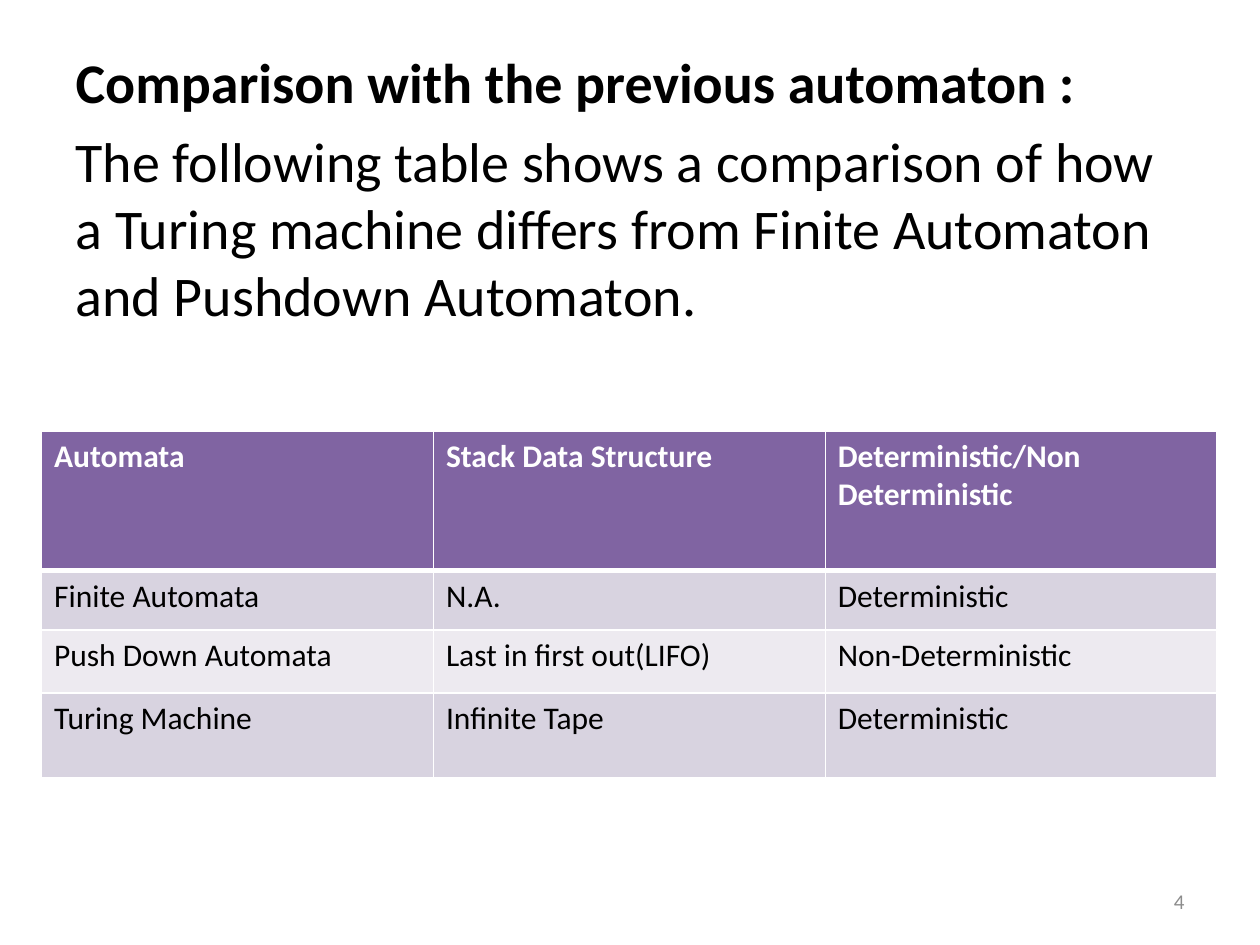
from lxml.etree import SubElement
from pptx import Presentation
from pptx.dml.color import RGBColor
from pptx.enum.text import MSO_ANCHOR, MSO_AUTO_SIZE, PP_ALIGN
from pptx.oxml.ns import qn
from pptx.util import Inches, Pt

BLACK = RGBColor(0x00, 0x00, 0x00)
WHITE = RGBColor(0xFF, 0xFF, 0xFF)
GREY = RGBColor(0x8C, 0x8C, 0x8C)
PURPLE = RGBColor(0x80, 0x64, 0xA2)
LILAC = RGBColor(0xD8, 0xD3, 0xE0)
PALE = RGBColor(0xED, 0xEA, 0xF0)
FONT = "Calibri"

INTRO = [
    "Comparison with the previous automaton :",
    "The following table shows a comparison of how a Turing machine differs "
    "from Finite Automaton and Pushdown Automaton.",
]
ROWS = [
    ["Automata", "Stack Data Structure", "Deterministic/Non Deterministic"],
    ["Finite Automata", "N.A.", "Deterministic"],
    ["Push Down Automata", "Last in first out(LIFO)", "Non-Deterministic"],
    ["Turing Machine", "Infinite Tape", "Deterministic"],
]
HEIGHTS = [1.11, 0.47, 0.5, 0.67]


def style(para, size, color, bold=False):
    font = para.font
    font.name, font.size, font.bold = FONT, Pt(size), bold
    font.color.rgb = color


def add_intro(slide, left, top, width, height):
    body = slide.placeholders[1]
    body.left, body.top = Inches(left), Inches(top)
    body.width, body.height = Inches(width), Inches(height)
    frame = body.text_frame
    frame.auto_size = MSO_AUTO_SIZE.NONE
    frame.text = "\n".join(INTRO)
    for i, para in enumerate(frame.paragraphs):
        style(para, 32, BLACK, i == 0)
        props = para._p.get_or_add_pPr()
        props.set("marL", "0")
        props.set("indent", "0")
        para.space_before = Pt(6.4)
        props.insert_element_before(
            props.makeelement(qn("a:buNone")), "a:tabLst", "a:defRPr", "a:extLst")


def add_edges(cell, head, below):
    props = cell._tc.get_or_add_tcPr()
    widths = {"L": 1, "R": 1, "T": 3 if below else 1, "B": 3 if head else 1}
    for side, width in widths.items():
        line = SubElement(props, qn(f"a:ln{side}"), w=str(Pt(width)))
        fill = SubElement(line, qn("a:solidFill"))
        SubElement(fill, qn("a:srgbClr"), val=str(WHITE))


def add_grid(slide, left, top, width):
    count = len(ROWS[0])
    table = slide.shapes.add_table(
        len(ROWS), count, Inches(left), Inches(top),
        Inches(width), Inches(sum(HEIGHTS))).table
    for col in table.columns:
        col.width = Inches(width / count)
    for r, texts in enumerate(ROWS):
        table.rows[r].height = Inches(HEIGHTS[r])
        head = r == 0
        shade = PURPLE if head else LILAC if r % 2 else PALE
        for c, text in enumerate(texts):
            cell = table.cell(r, c)
            cell.text = text
            style(cell.text_frame.paragraphs[0], 18, WHITE if head else BLACK, head)
            add_edges(cell, head, r == 1)
            cell.fill.solid()
            cell.fill.fore_color.rgb = shade


def add_number(slide, left, top, width, height):
    box = slide.shapes.add_textbox(
        Inches(left), Inches(top), Inches(width), Inches(height))
    frame = box.text_frame
    frame.word_wrap = True
    frame.vertical_anchor = MSO_ANCHOR.MIDDLE
    frame.text = "4"
    para = frame.paragraphs[0]
    para.alignment = PP_ALIGN.RIGHT
    style(para, 12, GREY)


def main():
    deck = Presentation()
    deck.slide_width, deck.slide_height = Inches(10), Inches(7.5)
    slide = deck.slides.add_slide(deck.slide_layouts[1])
    title = slide.shapes.title._element
    title.getparent().remove(title)
    add_intro(slide, 0.5, 0.33, 9, 6.37)
    add_number(slide, 7.17, 6.95, 2.33, 0.4)
    add_grid(slide, 0.33, 3.42, 9.33)
    deck.save("out.pptx")


if __name__ == "__main__":
    main()
